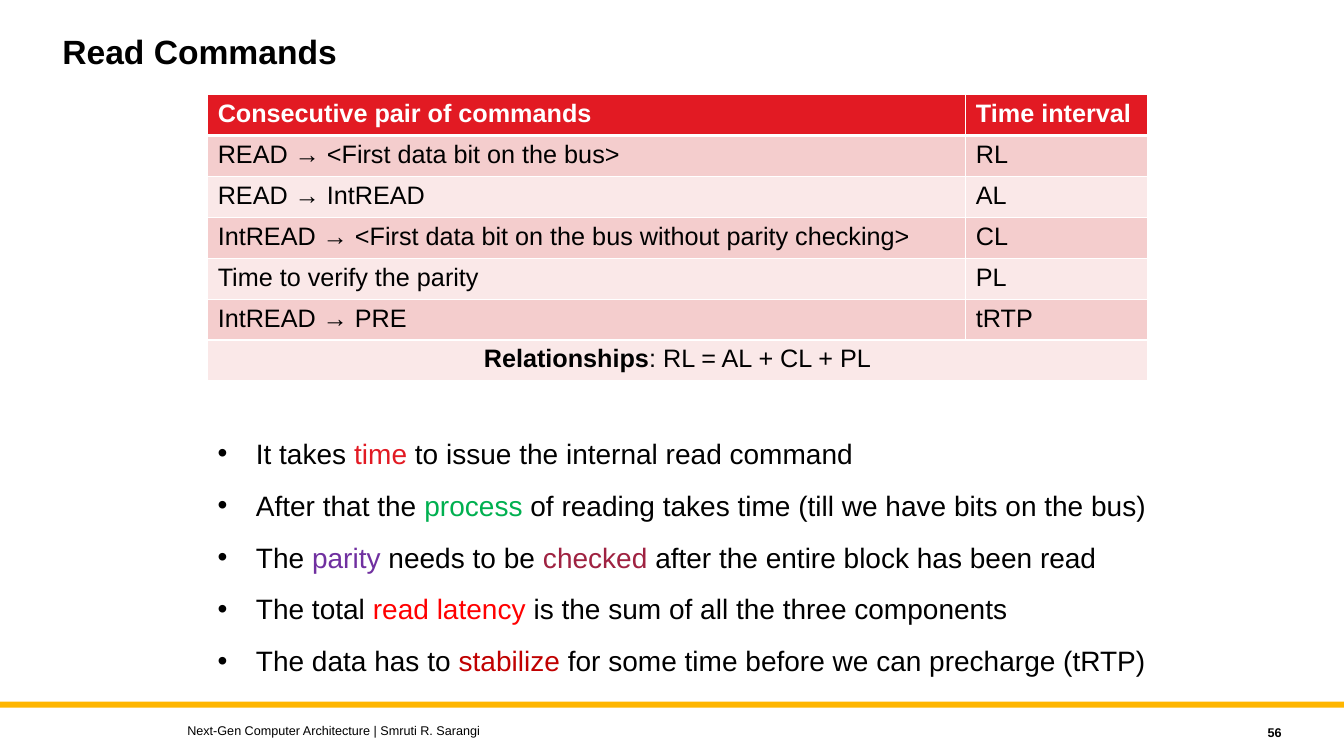
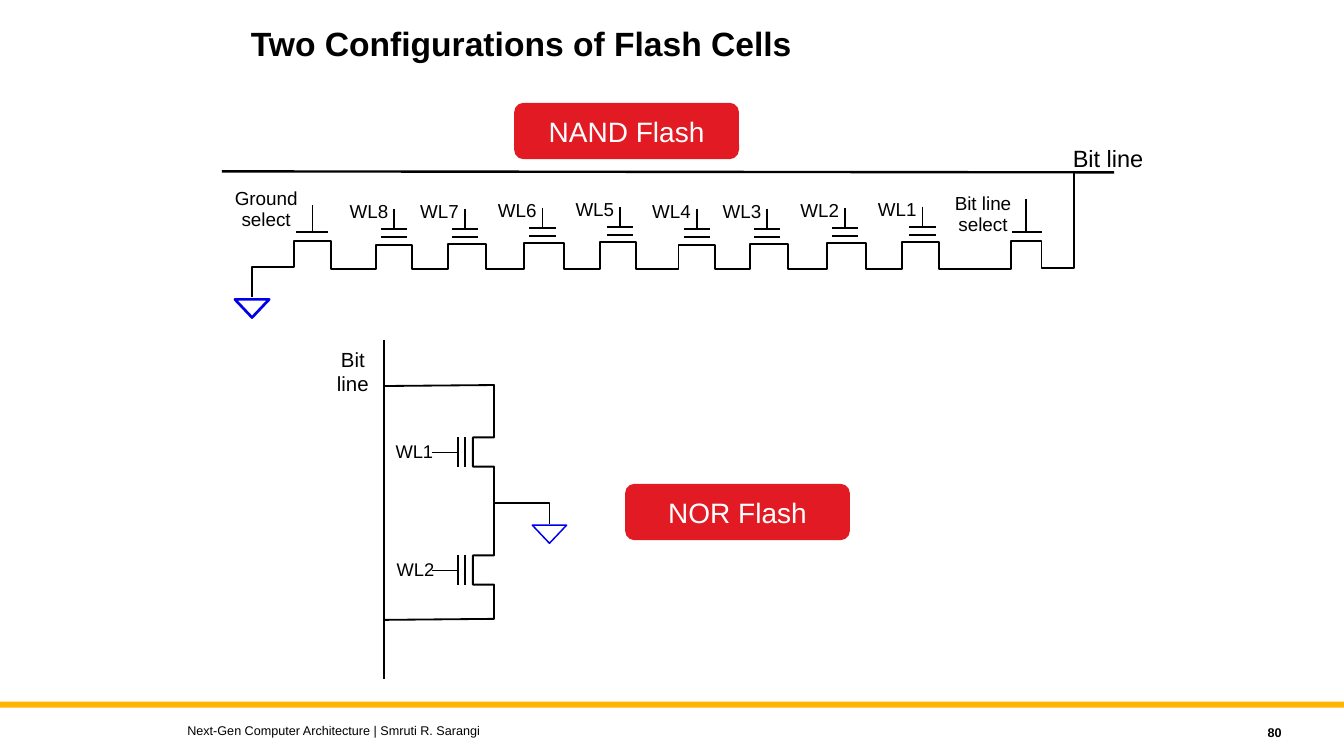
import pptx
import pptx.dml.color
import pptx.enum.shapes
import pptx.enum.text
import pptx.oxml
import pptx.oxml.ns
import pptx.util
from pptx.util import Inches

ALIGN = pptx.enum.text.PP_ALIGN
SHAPE = pptx.enum.shapes.MSO_SHAPE
MIDDLE = pptx.enum.text.MSO_ANCHOR.MIDDLE
BLACK, WHITE, RED, GOLD, BLUE = "000000", "FFFFFF", "E21A23", "FFB600", "0000E8"
BANDS = "F4CDCD", "FAE8E8"


def rgb(code):
    return pptx.dml.color.RGBColor.from_string(code)


def node(tag, **attrs):
    item = pptx.oxml.parse_xml(f"<a:{tag} {pptx.oxml.ns.nsdecls('a')}/>")
    for name, value in attrs.items():
        item.set(name, str(value))
    return item


class Deck:
    """Holds the shared style and draws on the current slide."""

    font = "Arial"

    def __init__(self):
        self.file = pptx.Presentation()
        self.file.slide_width = Inches(13.33)
        self.file.slide_height = Inches(7.5)

    def page(self, title, left, top, width, number):
        self.slide = self.file.slides.add_slide(self.file.slide_layouts[6])
        self.shapes = self.slide.shapes
        self.block(SHAPE.RECTANGLE, 0, 6.96, 13.33, 0.06, GOLD)
        head = self.text(title, left, top, width, 0.9, 24, bold=True)
        head.paragraphs[0].line_spacing = 0.9
        foot = self.text("Next-Gen Computer Architecture | Smruti R. Sarangi",
                         1.76, 7.12, 8, 0.25, 9)
        count = self.text(number, 11.41, 7.14, 1.4, 0.25, 9, ALIGN.RIGHT, True)
        foot.vertical_anchor = count.vertical_anchor = MIDDLE

    def style(self, para, size, color=BLACK, bold=False):
        for run in para.runs:
            run.font.name = self.font
            run.font.size = pptx.util.Pt(size)
            run.font.bold = bold
            run.font.color.rgb = rgb(color)

    def text(self, words, left, top, width, height, size, align=ALIGN.LEFT, bold=False):
        box = self.shapes.add_textbox(Inches(left), Inches(top), Inches(width), Inches(height))
        frame = box.text_frame
        frame.word_wrap = True
        frame.text = words
        for para in frame.paragraphs:
            para.alignment = align
            self.style(para, size, bold=bold)
        return frame

    def label(self, words, mid, top, size, space=1.0):
        frame = self.text(words, mid - 0.45, top, 0.9, 0.33, size, ALIGN.CENTER)
        frame.word_wrap = False
        for para in frame.paragraphs:
            para.line_spacing = space

    def bullets(self, items, left, top, width, height, size):
        frame = self.text("", left, top, width, height, size)
        for index, parts in enumerate(items):
            para = frame.add_paragraph() if index else frame.paragraphs[0]
            props = para._p.get_or_add_pPr()
            props.set("marL", str(Inches(0.38)))
            props.set("indent", str(-Inches(0.38)))
            props.append(node("buFont", typeface=self.font))
            props.append(node("buChar", char="•"))
            if index:
                para.space_before = pptx.util.Pt(13)
            for words, _ in parts:
                para.add_run().text = words
            self.style(para, size)
            for run, (_, color) in zip(para.runs, parts):
                run.font.color.rgb = rgb(color)

    def block(self, kind, left, top, width, height, color, words=""):
        shape = self.shapes.add_shape(kind, Inches(left), Inches(top),
                                      Inches(width), Inches(height))
        shape.shadow.inherit = False
        shape.fill.solid()
        shape.fill.fore_color.rgb = rgb(color)
        shape.line.fill.background()
        if words:
            frame = shape.text_frame
            frame.text = words
            frame.vertical_anchor = MIDDLE
            frame.paragraphs[0].alignment = ALIGN.CENTER
            self.style(frame.paragraphs[0], 20, WHITE)

    def line(self, left, top, right, end, weight=1.34):
        line = self.shapes.add_connector(pptx.enum.shapes.MSO_CONNECTOR.STRAIGHT,
                                         Inches(left), Inches(top), Inches(right), Inches(end))
        line.line.color.rgb = rgb(BLACK)
        line.line.width = pptx.util.Pt(weight)
        line._element.spPr.append(node("effectLst"))

    def wire(self, points, weight=1.34, color=BLACK, close=False):
        spots = [(Inches(x), Inches(y)) for x, y in points]
        pen = self.shapes.build_freeform(*spots[0])
        pen.add_line_segments(spots[1:], close=close)
        shape = pen.convert_to_shape()
        shape.shadow.inherit = False
        shape.fill.background()
        shape.line.color.rgb = rgb(color)
        shape.line.width = pptx.util.Pt(weight)

    def ground(self, mid, top, weight):
        self.wire([(mid - 0.17, top), (mid + 0.17, top), (mid, top + 0.18)],
                  weight, BLUE, True)

    def edge(self, cell, top, bottom):
        props = cell._tc.get_or_add_tcPr()
        for spot, (tag, weight) in enumerate(
                [("lnL", 1), ("lnR", 1), ("lnT", top), ("lnB", bottom)]):
            side = node(tag, w=pptx.util.Pt(weight))
            fill = node("solidFill")
            fill.append(node("srgbClr", val=WHITE))
            side.append(fill)
            props.insert(spot, side)

    def table(self, rows, left, top, widths, height):
        grid = self.shapes.add_table(len(rows), len(widths), Inches(left), Inches(top),
                                     Inches(sum(widths)), Inches(height)).table
        for column, width in zip(grid.columns, widths):
            column.width = Inches(width)
        for r, row in enumerate(rows):
            for c, words in enumerate(row):
                cell = grid.cell(r, c)
                cell.text = words
                cell.fill.solid()
                cell.fill.fore_color.rgb = rgb(BANDS[(r - 1) % 2] if r else RED)
                self.style(cell.text_frame.paragraphs[0], 18, BLACK if r else WHITE, not r)
                self.edge(cell, 3 if r == 1 else 1, 1 if r else 3)
        return grid


def read(deck):
    deck.page("Read Commands", 0.52, 0.3, 10, "56")
    rows = [
        ("Consecutive pair of commands", "Time interval"),
        ("READ → <First data bit on the bus>", "RL"),
        ("READ → IntREAD", "AL"),
        ("IntREAD → <First data bit on the bus without parity checking>", "CL"),
        ("Time to verify the parity", "PL"),
        ("IntREAD → PRE", "tRTP"),
        ("Relationships", ""),
    ]
    grid = deck.table(rows, 2.06, 0.94, (7.52, 1.8), 2.84)
    last = grid.cell(6, 0)
    last.merge(grid.cell(6, 1))
    para = last.text_frame.paragraphs[0]
    para.alignment = ALIGN.CENTER
    para.add_run().text = ": RL = AL + CL + PL"
    deck.style(para, 18)
    para.runs[0].font.bold = True
    deck.bullets([
        [("It takes ", BLACK), ("time", RED), (" to issue the internal read command", BLACK)],
        [("After that the ", BLACK), ("process", "00B050"),
         (" of reading takes time (till we have bits on the bus)", BLACK)],
        [("The ", BLACK), ("parity", "7030A0"), (" needs to be ", BLACK),
         ("checked", "9F2241"), (" after the entire block has been read", BLACK)],
        [("The total ", BLACK), ("read latency ", "FF0000"),
         ("is the sum of all the three components", BLACK)],
        [("The data has to ", BLACK), ("stabilize", "C00000"),
         (" for some time before we can precharge (tRTP)", BLACK)],
    ], 2.06, 4.28, 10.02, 2.35, 20)


def nand(deck):
    base = 2.67
    cells = [(3.73, 0.36, 2.43, 3.78, 2.35), (4.44, 0.38, 2.42, 4.48, 2.35),
             (5.2, 0.39, 2.41, 5.25, 2.34), (5.95, 0.36, 2.4, 6.02, 2.33)]
    path = [(2.5, 2.95), (2.5, 2.65), (2.92, 2.65), (2.92, 2.39), (3.28, 2.39), (3.28, base)]
    for index in range(8):
        left, width, top, plate, low = cells[index % 4]
        shift = index // 4 * 3
        left, plate = left + shift, plate + shift
        path += [(left, base), (left, top), (left + width, top), (left + width, base)]
        deck.line(plate, low, plate + 0.26, low)
        deck.line(plate, low - 0.08, plate + 0.26, low - 0.08)
        deck.line(plate + 0.13, low - 0.28, plate + 0.13, low - 0.09)
        deck.label(f"WL{8 - index}", plate - 0.12, low - 0.42, 13.4)
    path += [(10.03, base), (10.03, 2.39), (10.33, 2.39), (10.33, 2.66),
             (10.65, 2.66), (10.65, 1.71)]
    deck.wire(path)
    deck.line(2.2, 1.7, 11.05, 1.71, 1.69)
    for left, stem, right, top, weight in [(2.94, 3.1, 3.25, 2.03, 1),
                                           (10.04, 10.18, 10.33, 1.97, 1.34)]:
        deck.line(left, 2.3, right, 2.3)
        deck.line(stem, 2.3, stem, top, weight)
    deck.label("Ground\nselect", 2.64, 1.83, 13.5, 0.9)
    deck.label("Bit line\nselect", 9.75, 1.88, 13.5, 0.9)
    deck.label("Bit line", 10.99, 1.38, 16.8)
    deck.ground(2.5, 2.97, 1.92)
    deck.block(SHAPE.ROUNDED_RECTANGLE, 5.1, 1.02, 2.23, 0.56, RED, "NAND Flash")


def nor(deck):
    rail, drain, gate = 3.81, 4.9, 4.69
    path = [(rail, 3.83), (drain, 3.82)]
    for index, top in enumerate((4.34, 5.51)):
        path += [(drain, top), (gate, top), (gate, top + 0.29), (drain, top + 0.29)]
        for bar in (4.54, 4.61):
            deck.line(bar, top, bar, top + 0.29, 1.3)
        deck.line(4.28, top + 0.15, 4.54, top + 0.15, 1.3)
        deck.label(f"WL{index + 1}", 4.11 + index * 0.01, top - 0.02, 13.1)
    deck.wire(path + [(drain, 6.14), (rail, 6.15)], 1.3)
    deck.line(rail, 3.37, rail, 6.74, 1.3)
    deck.wire([(drain, 4.99), (5.45, 4.99), (5.45, 5.2)], 1.3)
    deck.ground(5.45, 5.21, 1.05)
    deck.label("Bit\nline", 3.5, 3.39, 14.6)
    deck.block(SHAPE.ROUNDED_RECTANGLE, 6.2, 4.8, 2.23, 0.56, RED, "NOR Flash")


def main():
    deck = Deck()
    read(deck)
    deck.page("Two Configurations of Flash Cells", 2.39, 0.22, 7.5, "80")
    nand(deck)
    nor(deck)
    deck.file.save("out.pptx")


if __name__ == "__main__":
    main()
